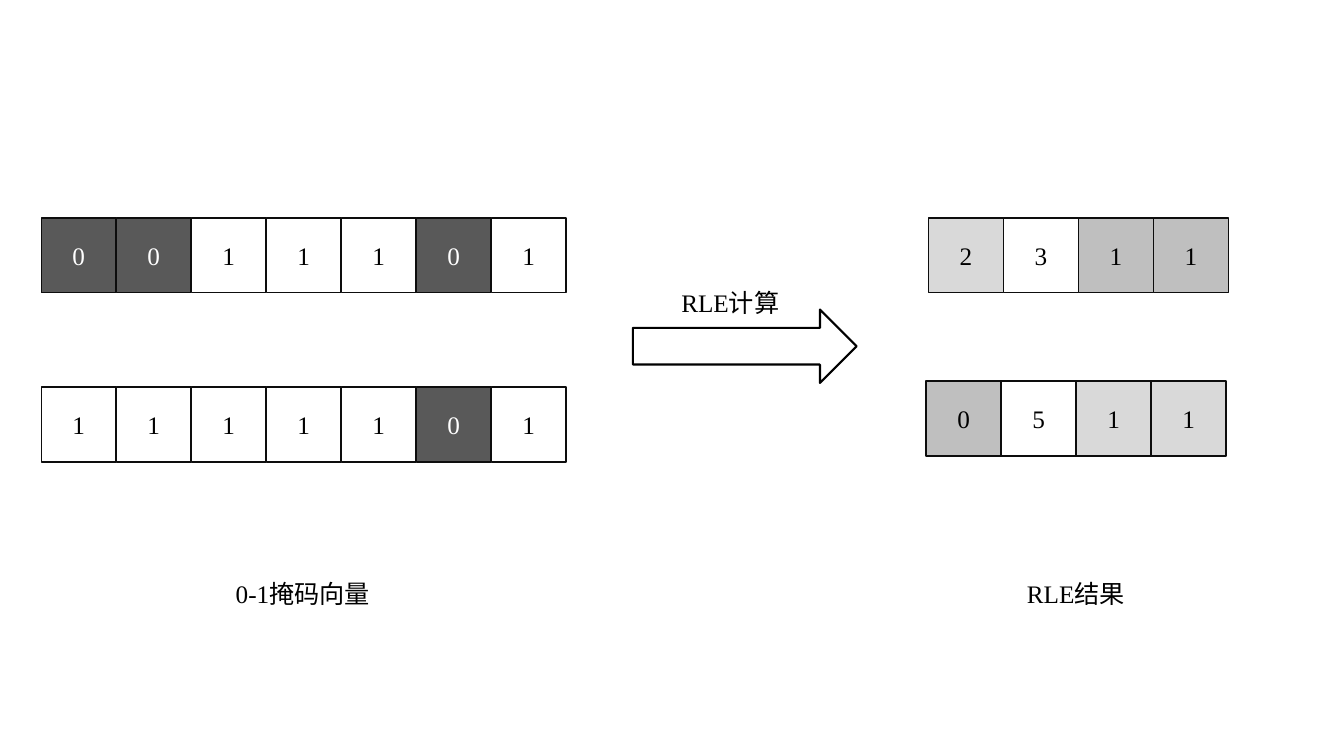
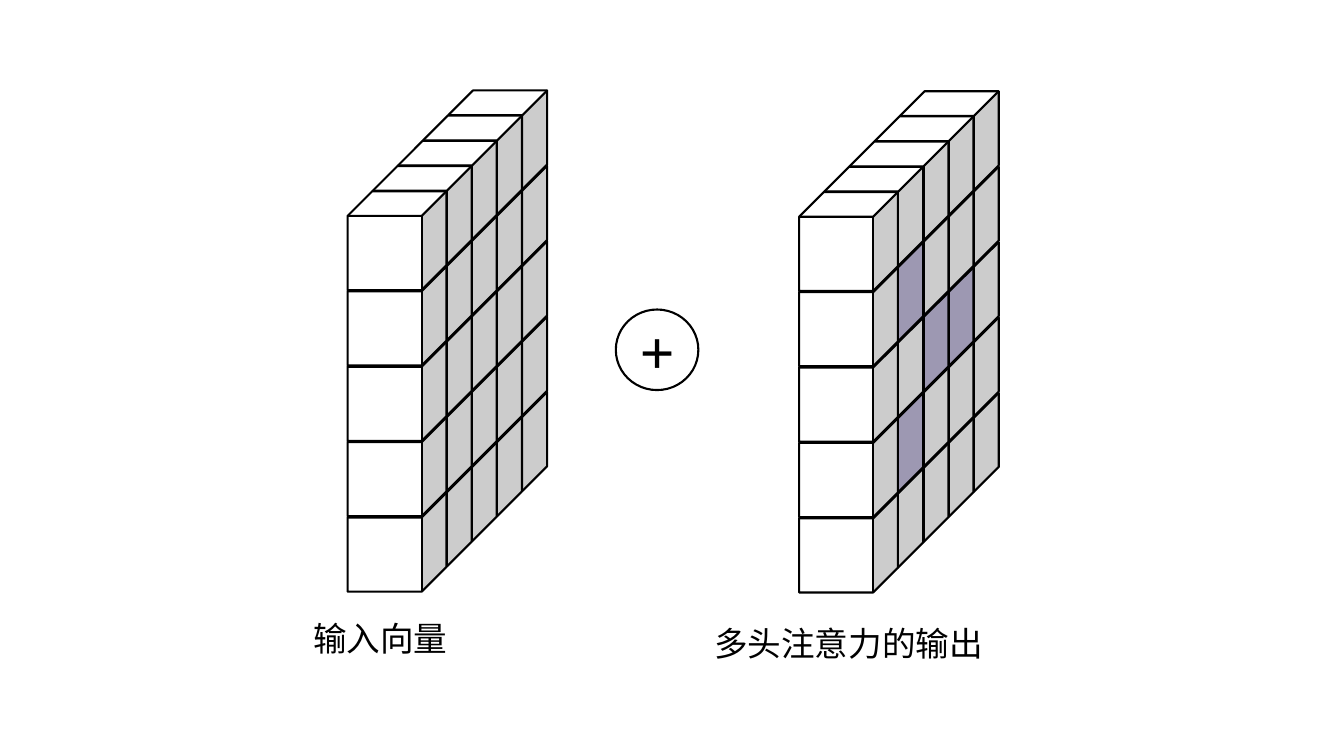
from dataclasses import dataclass

from pptx import Presentation
from pptx.dml.color import RGBColor
from pptx.enum.shapes import MSO_SHAPE
from pptx.enum.text import MSO_ANCHOR, MSO_AUTO_SIZE, PP_ALIGN
from pptx.shapes.autoshape import Shape
from pptx.slide import Slide
from pptx.util import Cm, Pt

RECTANGLE = MSO_SHAPE.RECTANGLE
RIGHT_ARROW = MSO_SHAPE.RIGHT_ARROW
ELLIPSE = MSO_SHAPE.OVAL
CUBE = MSO_SHAPE.CUBE
MIDDLE = MSO_ANCHOR.MIDDLE
CENTER = PP_ALIGN.CENTER
FIT_SHAPE = MSO_AUTO_SIZE.SHAPE_TO_FIT_TEXT

# Shared style
FONT = "Times New Roman"
BLACK = RGBColor(0x00, 0x00, 0x00)
WHITE = RGBColor(0xFF, 0xFF, 0xFF)
CELL_BORDER = RGBColor(0x0D, 0x0D, 0x0D)
MASKED = RGBColor(0x59, 0x59, 0x59)
MID_GREY = RGBColor(0xBF, 0xBF, 0xBF)
LIGHT_GREY = RGBColor(0xD9, 0xD9, 0xD9)
LILAC = RGBColor(0xC5, 0xBE, 0xDF)

# Grid measures in centimetres
CELL_SIDE = 1.89
CUBE_SIDE = 2.49
CUBE_COUNT = 5
LEVEL_STEP = 1.9
DEPTH_STEP = 0.635


@dataclass(frozen=True)
class Caption:
    text: str
    left: float
    top: float
    width: float
    height: float
    size: int


@dataclass(frozen=True)
class CellRow:
    values: str
    left: float
    top: float
    fills: tuple[RGBColor, ...]


@dataclass(frozen=True)
class CubeBlock:
    """Place of the rear bottom cube; marked holds (level, depth) pairs."""
    left: float
    top: float
    marked: frozenset[tuple[int, int]] = frozenset()


def mask_row(values: str, left: float, top: float) -> CellRow:
    fills = tuple(MASKED if value == "0" else WHITE for value in values)
    return CellRow(values, left, top, fills)


CELL_ROWS = (
    mask_row("0011101", 1.04, 5.49),
    mask_row("1111101", 1.04, 9.75),
    CellRow("2311", 23.4, 5.49, (LIGHT_GREY, WHITE, MID_GREY, MID_GREY)),
    CellRow("0511", 23.34, 9.6, (MID_GREY, WHITE, LIGHT_GREY, LIGHT_GREY)),
)
RLE_CAPTIONS = (
    Caption("0-1掩码向量", 3.99, 14.45, 7.29, 1.02, 18),
    Caption("RLE计算", 14.76, 7.11, 7.29, 1.02, 18),
    Caption("RLE结果", 23.47, 14.45, 7.29, 1.02, 18),
)
CUBE_BLOCKS = (
    CubeBlock(11.3, 9.88),
    CubeBlock(22.68, 9.9, frozenset({(1, 3), (2, 1), (2, 2), (3, 3)})),
)
ATTENTION_CAPTIONS = (
    Caption("多头注意力的输出", 17.12, 15.57, 8.53, 1.27, 24),
    Caption("输入向量", 7.06, 15.44, 5.05, 1.27, 24),
)


def write(shape: Shape, text: str, size: int, color: RGBColor = BLACK,
          bold: bool = False) -> None:
    paragraph = shape.text_frame.paragraphs[0]
    paragraph.alignment = CENTER
    run = paragraph.add_run()
    run.text = text
    run.font.name = FONT
    run.font.size = Pt(size)
    run.font.bold = bold
    run.font.color.rgb = color


def add_outlined(shapes, kind: MSO_SHAPE, left: float, top: float,
                 width: float, height: float, fill: RGBColor = WHITE,
                 line: RGBColor = BLACK, weight: float = 1.5) -> Shape:
    shape = shapes.add_shape(kind, Cm(left), Cm(top), Cm(width), Cm(height))
    shape.shadow.inherit = False
    shape.fill.solid()
    shape.fill.fore_color.rgb = fill
    shape.line.color.rgb = line
    shape.line.width = Pt(weight)
    shape.text_frame.vertical_anchor = MIDDLE
    return shape


def add_caption(slide: Slide, caption: Caption) -> None:
    box = slide.shapes.add_textbox(Cm(caption.left), Cm(caption.top),
                                   Cm(caption.width), Cm(caption.height))
    box.text_frame.word_wrap = True
    box.text_frame.auto_size = FIT_SHAPE
    write(box, caption.text, caption.size)


def add_cell_row(slide: Slide, row: CellRow) -> None:
    for column, (value, fill) in enumerate(zip(row.values, row.fills)):
        cell = add_outlined(slide.shapes, RECTANGLE,
                            row.left + column * CELL_SIDE, row.top,
                            CELL_SIDE, CELL_SIDE, fill, CELL_BORDER, 1)
        write(cell, value, 18, WHITE if fill == MASKED else BLACK)


def add_cube_block(slide: Slide, block: CubeBlock) -> None:
    # Bottom level first, and rear cubes before front ones
    group = slide.shapes.add_group_shape()
    for level in range(CUBE_COUNT):
        for depth in range(CUBE_COUNT):
            offset = depth * DEPTH_STEP
            fill = LILAC if (level, depth) in block.marked else WHITE
            add_outlined(group.shapes, CUBE, block.left - offset,
                         block.top - level * LEVEL_STEP + offset,
                         CUBE_SIDE, CUBE_SIDE, fill)


def build_rle_slide(slide: Slide) -> None:
    for row in CELL_ROWS:
        add_cell_row(slide, row)
    add_outlined(slide.shapes, RIGHT_ARROW, 15.95, 7.8, 5.64, 1.85)
    for caption in RLE_CAPTIONS:
        add_caption(slide, caption)


def build_attention_slide(slide: Slide) -> None:
    plus = add_outlined(slide.shapes, ELLIPSE, 15.52, 7.8, 2.08, 2.03)
    write(plus, "+", 44, bold=True)
    for caption in ATTENTION_CAPTIONS:
        add_caption(slide, caption)
    for block in CUBE_BLOCKS:
        add_cube_block(slide, block)


def main() -> None:
    deck = Presentation()
    deck.slide_width = Cm(33.87)
    deck.slide_height = Cm(19.05)
    blank = deck.slide_layouts[6]
    for build in (build_rle_slide, build_attention_slide):
        build(deck.slides.add_slide(blank))
    deck.save("out.pptx")


if __name__ == "__main__":
    main()
